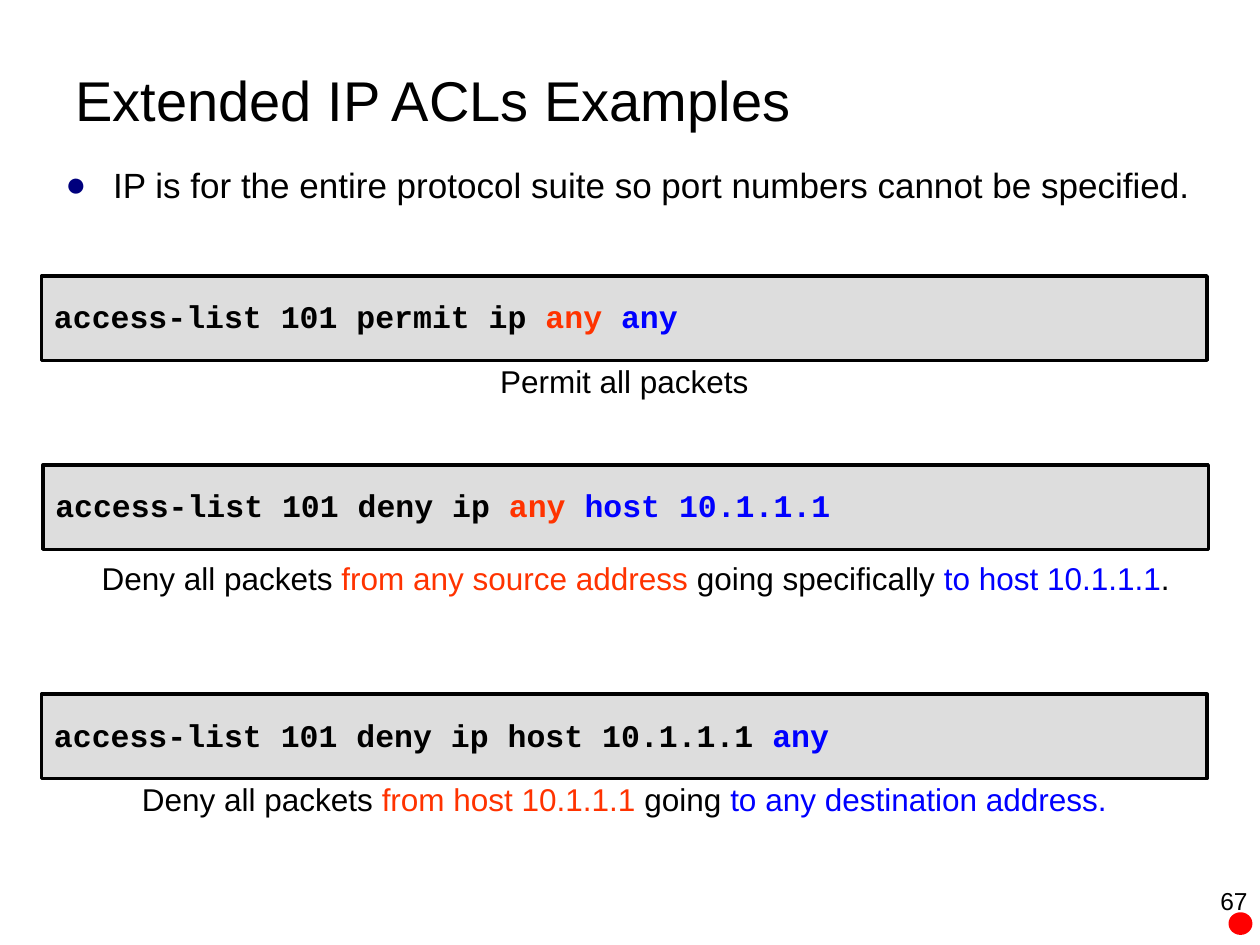
from dataclasses import dataclass

from lxml import etree
from pptx import Presentation
from pptx.dml.color import RGBColor
from pptx.enum.shapes import MSO_SHAPE
from pptx.enum.text import MSO_ANCHOR, MSO_AUTO_SIZE, PP_ALIGN
from pptx.oxml.ns import qn
from pptx.util import Inches, Pt

RECTANGLE, OVAL = MSO_SHAPE.RECTANGLE, MSO_SHAPE.OVAL
LEFT, CENTER, RIGHT = PP_ALIGN.LEFT, PP_ALIGN.CENTER, PP_ALIGN.RIGHT
MIDDLE, TOP = MSO_ANCHOR.MIDDLE, MSO_ANCHOR.TOP
NO_AUTOFIT = MSO_AUTO_SIZE.NONE
TITLE_ONLY = 5


@dataclass(frozen=True)
class Theme:
    text: str = "000000"
    source: str = "FF3300"
    destination: str = "0000FF"
    bullet: str = "00007D"
    box: str = "DDDDDD"
    dot: str = "FF0000"
    body_font: str = "Arial"
    code_font: str = "Courier New"
    title_size: int = 32
    body_size: int = 20
    example_size: int = 18
    number_size: int = 14


THEME = Theme()
TEXT, SOURCE, DESTINATION = THEME.text, THEME.source, THEME.destination
BAND_WIDTH, BOX_HEIGHT, CAPTION_HEIGHT = 9.25, 0.67, 0.56

# Each example: box position, command runs, caption position, caption runs
EXAMPLES = [
    ((0.33, 2.19),
     [("access-list 101 permit ip ", TEXT), ("any ", SOURCE), ("any", DESTINATION)],
     (0.33, 2.86),
     [("Permit all packets", TEXT)]),
    ((0.34, 3.69),
     [("access-list 101 deny ip ", TEXT), ("any ", SOURCE),
      ("host 10.1.1.1", DESTINATION)],
     (0.42, 4.42),
     [("Deny all packets ", TEXT), ("from any source address ", SOURCE),
      ("going specifically ", TEXT), ("to host 10.1.1.1", DESTINATION), (".", TEXT)]),
    ((0.33, 5.51),
     [("access-list 101 deny ip host 10.1.1.1 ", TEXT), ("any", DESTINATION)],
     (0.33, 6.18),
     [("Deny all packets ", TEXT), ("from host 10.1.1.1 ", SOURCE),
      ("going ", TEXT), ("to any destination address.", DESTINATION)]),
]


def set_attributes(target, values):
    for name, value in values.items():
        setattr(target, name, value)


def write_runs(text_frame, runs, size, font=THEME.body_font, bold=False,
               align=LEFT, anchor=TOP, line_spacing=1.0):
    """Fill the first paragraph with (text, colour) runs and return it."""
    set_attributes(text_frame, {"word_wrap": True, "vertical_anchor": anchor})
    paragraph = text_frame.paragraphs[0]
    set_attributes(paragraph, {"alignment": align, "line_spacing": line_spacing})
    for text, colour in runs:
        run = paragraph.add_run()
        run.text = text
        set_attributes(run.font, {"name": font, "size": Pt(size), "bold": bold})
        run.font.color.rgb = RGBColor.from_string(colour)
    return paragraph


def add_title(slide, text):
    title = slide.shapes.title
    set_attributes(title, {"left": Inches(0.5), "top": Inches(0.5),
                           "width": Inches(9), "height": Inches(0.58)})
    title.text_frame.auto_size = NO_AUTOFIT
    write_runs(title.text_frame, [(text, TEXT)], THEME.title_size, anchor=MIDDLE)


def add_text(slide, box, text, size, align=LEFT):
    shape = slide.shapes.add_textbox(*map(Inches, box))
    return write_runs(shape.text_frame, [(text, TEXT)], size, align=align)


def add_bullet(paragraph, indent=0.38):
    properties = paragraph._p.get_or_add_pPr()
    properties.set("marL", str(Inches(indent)))
    properties.set("indent", str(-Inches(indent)))
    colour = etree.SubElement(properties, qn("a:buClr"))
    etree.SubElement(colour, qn("a:srgbClr"), val=THEME.bullet)
    etree.SubElement(properties, qn("a:buFont"), typeface=THEME.body_font)
    etree.SubElement(properties, qn("a:buChar"), char="●")


def add_filled_shape(slide, kind, box, fill):
    shape = slide.shapes.add_shape(kind, *map(Inches, box))
    shape.shadow.inherit = False
    shape.fill.solid()
    shape.fill.fore_color.rgb = RGBColor.from_string(fill)
    return shape


def add_command(slide, position, runs):
    shape = add_filled_shape(slide, RECTANGLE,
                             (*position, BAND_WIDTH, BOX_HEIGHT), THEME.box)
    shape.line.color.rgb = RGBColor.from_string(TEXT)
    shape.line.width = Pt(2)
    write_runs(shape.text_frame, runs, THEME.example_size, THEME.code_font,
               bold=True, anchor=MIDDLE, line_spacing=0.95)


def add_caption(slide, position, runs):
    """Add a one-cell table without fill or borders."""
    box = (*position, BAND_WIDTH, CAPTION_HEIGHT)
    table = slide.shapes.add_table(1, 1, *map(Inches, box)).table
    set_attributes(table, {"first_row": False, "horz_banding": False})
    cell = table.cell(0, 0)
    properties = cell._tc.get_or_add_tcPr()
    for side in ("a:lnL", "a:lnR", "a:lnT", "a:lnB"):
        border = etree.SubElement(properties, qn(side))
        etree.SubElement(border, qn("a:noFill"))
    cell.fill.background()
    cell.vertical_anchor = TOP
    write_runs(cell.text_frame, runs, THEME.example_size, align=CENTER,
               anchor=None, line_spacing=0.95)


def main():
    presentation = Presentation()
    set_attributes(presentation, {"slide_width": Inches(10),
                                  "slide_height": Inches(7.5)})
    slide = presentation.slides.add_slide(presentation.slide_layouts[TITLE_ONLY])

    add_title(slide, "Extended IP ACLs Examples")
    add_bullet(add_text(
        slide, (0.42, 1.25, 9.42, 0.58),
        "IP is for the entire protocol suite so port numbers cannot be specified.",
        THEME.body_size))

    for box_position, command, caption_position, caption in EXAMPLES:
        add_command(slide, box_position, command)
        add_caption(slide, caption_position, caption)

    add_text(slide, (7.67, 6.98, 2.33, 0.52), "67", THEME.number_size, RIGHT)
    dot = add_filled_shape(slide, OVAL, (9.75, 7.24, 0.19, 0.18), THEME.dot)
    dot.line.fill.background()

    presentation.save("out.pptx")


if __name__ == "__main__":
    main()
